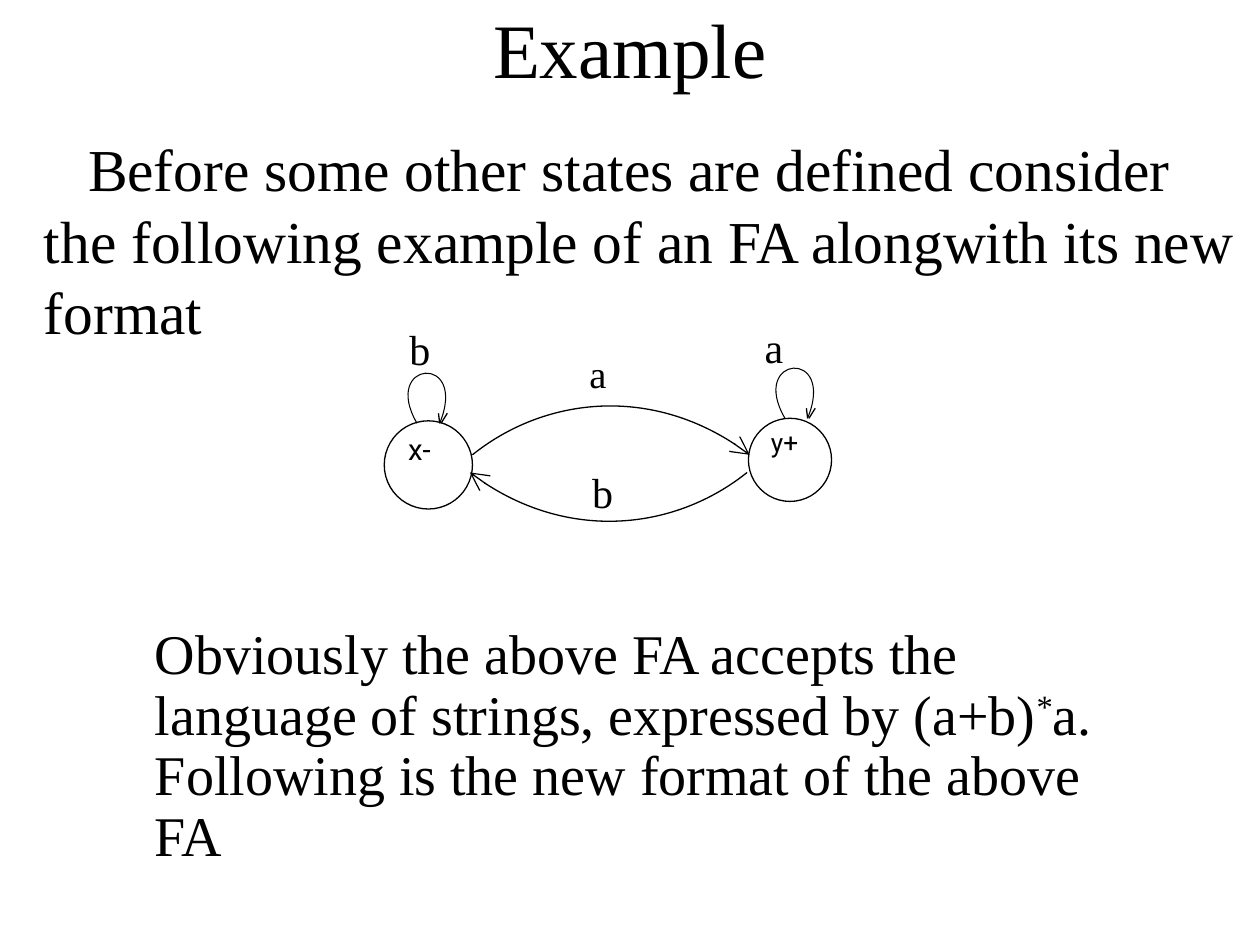
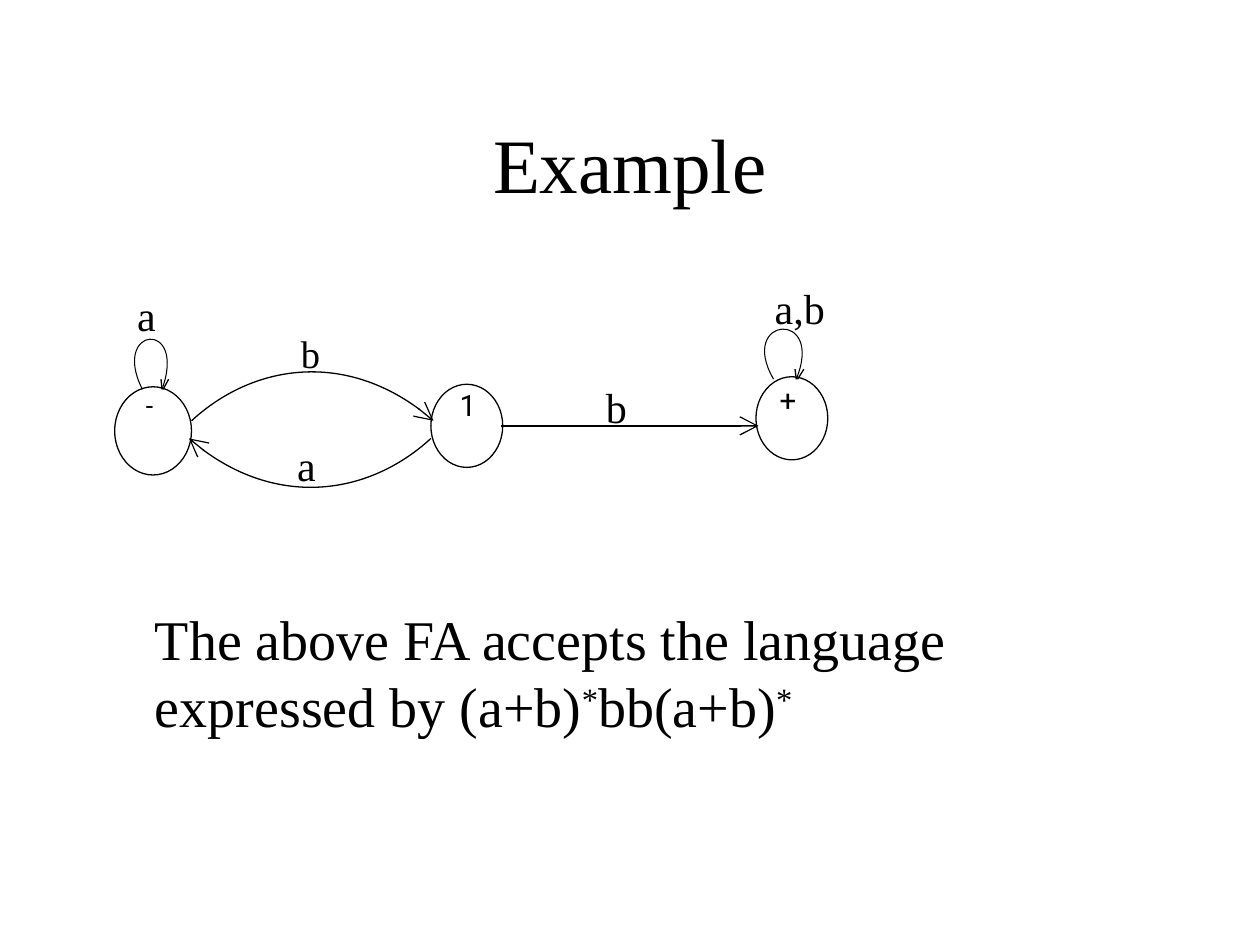
from pptx import Presentation
from pptx.dml.color import RGBColor
from pptx.enum.shapes import MSO_CONNECTOR as CONN, MSO_SHAPE as SHAPE
from pptx.enum.text import MSO_ANCHOR as ANCHOR, PP_ALIGN as ALIGN
from pptx.oxml.ns import qn
from pptx.util import Inches, Pt
from lxml.etree import SubElement

BLACK = RGBColor(0, 0, 0)
WHITE = RGBColor(255, 255, 255)
SERIF, SANS = "Times New Roman", "Roboto"
SLIDE_W, SLIDE_H = 10, 7.5
MARGIN = 0.075 * SLIDE_W
CONTENT_W = SLIDE_W - 2 * MARGIN
ARROW = dict(type="arrow", w="lg", len="lg")


def add_text(sp, text, size=24, font=SERIF, align=ALIGN.LEFT, anchor=ANCHOR.TOP,
             spacing=None, indent=0):
    """Fill a shape with one paragraph; every asterisk becomes a superscript."""
    tf = sp.text_frame
    tf.word_wrap = True
    tf.vertical_anchor = anchor
    p = tf.paragraphs[0]
    p.alignment = align
    if spacing:
        p.line_spacing = spacing
    if indent:
        p._p.get_or_add_pPr().set("indent", str(Inches(indent)))
    for part in text.replace("*", "|*|").split("|"):
        if part:
            r = p.add_run()
            r.text = part
            r.font.size, r.font.name = Pt(size), font
            r.font.color.rgb = BLACK
            if part == "*":
                r.font._element.set("baseline", "30000")


def add_stroke(slide, points, width=0.75, arrow=False):
    """Draw an open outline; four points are the controls of a Bezier curve."""
    start, *rest = [(Inches(x), Inches(y)) for x, y in points]
    fb = slide.shapes.build_freeform(*start)
    fb.add_line_segments(rest, close=False)
    sp = fb.convert_to_shape()
    if len(points) == 4:
        outline = next(sp._element.iter(qn("a:path")))
        curve = SubElement(outline, qn("a:cubicBezTo"))
        for segment in outline.findall(qn("a:lnTo")):
            curve.append(segment[0])
            outline.remove(segment)
    sp.shadow.inherit = False
    sp.fill.background()
    sp.line.color.rgb, sp.line.width = BLACK, Pt(width)
    if arrow:
        SubElement(sp.line._get_or_add_ln(), qn("a:tailEnd"), **ARROW)


# states: left, top, width, height
# arcs: start x, start y, signed span
# loops: start x, start y, horizontal scale
# labels: text, left, top, size, font
SLIDES = [
    dict(
        title_top=-0.25,
        intro="Before some other states are defined consider the following "
              "example of an FA alongwith its new format",
        states=[(3.05, 3.34, 0.7, 0.7), (5.94, 3.32, 0.66, 0.66)],
        arcs=[(3.75, 3.61, 2.2), (5.93, 3.75, -2.2)],
        loops=[(3.31, 3.36, 1), (6.23, 3.32, 1)],
        lines=[],
        label_size={SERIF: (1.09, 0.52), SANS: (0.78, 0.39)},
        labels=[("x-", 3.14, 3.43, 16.8, SANS), ("y+", 6.02, 3.38, 15, SANS),
                ("b", 3.15, 2.52, 24, SERIF), ("a", 5.97, 2.5, 24, SERIF),
                ("a", 4.58, 2.73, 22, SERIF), ("b", 4.6, 3.65, 24, SERIF)],
        closing="Obviously the above FA accepts the language of strings, expressed "
                "by (a+b)*a. Following is the new format of the above FA",
        closing_top=2.5, closing_inset=2.47, closing_spacing=0.9),
    dict(
        title_top=0.67,
        intro=None,
        states=[(0.91, 3.07, 0.61, 0.7), (3.42, 3.05, 0.57, 0.66),
                (6, 2.99, 0.57, 0.66)],
        arcs=[(1.52, 3.34, 1.92), (3.42, 3.48, -1.92)],
        loops=[(1.13, 3.09, 0.87), (6.14, 3.01, 1)],
        lines=[(3.98, 6.02, 3.38)],
        label_size={SERIF: (0.95, 0.52), SANS: (0.36, 0.4)},
        labels=[("-", 1.06, 3.09, 15.2, SANS), ("1", 3.55, 3.08, 16.8, SANS),
                ("+", 6.09, 3.04, 16.8, SANS), ("a", 0.99, 2.25, 24, SERIF),
                ("b", 2.29, 2.57, 22, SERIF), ("a", 2.26, 3.44, 24, SERIF),
                ("b", 4.71, 2.98, 24, SERIF), ("a,b", 6.05, 2.19, 24, SERIF)],
        closing="The above FA accepts the language expressed by (a+b)*bb(a+b)*",
        closing_top=2.17, closing_inset=2.63, closing_spacing=None),
]

prs = Presentation()
prs.slide_width, prs.slide_height = Inches(SLIDE_W), Inches(SLIDE_H)

for content in SLIDES:
    s = prs.slides.add_slide(prs.slide_layouts[5])
    s.background.fill.solid()
    s.background.fill.fore_color.rgb = WHITE

    title = s.shapes.title
    title.left, title.top = Inches(MARGIN), Inches(content["title_top"])
    title.width, title.height = Inches(CONTENT_W), Inches(1.25)
    add_text(title, "Example", size=44, align=ALIGN.CENTER, anchor=ANCHOR.MIDDLE)

    # The closing text starts below the diagram, inside the content area
    closing = s.shapes.add_textbox(
        *map(Inches, (MARGIN, content["closing_top"], CONTENT_W, 0.6 * SLIDE_H)))
    closing.text_frame.margin_left = Inches(0.48)
    closing.text_frame.margin_top = Inches(content["closing_inset"])
    add_text(closing, content["closing"], size=32, spacing=content["closing_spacing"])

    if content["intro"]:
        intro = s.shapes.add_textbox(Inches(0.25), Inches(1), Inches(9.75), Inches(1.8))
        add_text(intro, content["intro"], size=34, indent=0.35)

    for box in content["states"]:
        state = s.shapes.add_shape(SHAPE.OVAL, *map(Inches, box))
        state.shadow.inherit = False
        state.fill.solid()
        state.fill.fore_color.rgb = WHITE
        state.line.color.rgb, state.line.width = BLACK, Pt(0.75)

    # Transitions to the right bend upwards, those to the left downwards
    for x, y, span in content["arcs"]:
        bend = -1 if span > 0 else 1
        add_stroke(s, [(x, y), (x + 0.255 * span, y + 0.45 * bend),
                       (x + 0.67 * span, y + 0.56 * bend), (x + span, y)], arrow=True)

    for x, y, scale in content["loops"]:
        loop = [(0, 0), (-0.29, -0.5), (0.41, -0.56), (0.18, 0)]
        right_barb = [(0.19, 0), (0.24, -0.08)]
        left_barb = [(0.17, -0.08), (0.18, 0)]
        for outline, width in ((loop, 0.6), (right_barb, 0.75), (left_barb, 0.75)):
            add_stroke(s, [(x + dx * scale, y + dy) for dx, dy in outline], width)

    for x1, x2, y in content["lines"]:
        line = s.shapes.add_connector(CONN.STRAIGHT, *map(Inches, (x1, y, x2, y)))
        line.line.color.rgb, line.line.width = BLACK, Pt(0.75)
        SubElement(line.line._get_or_add_ln(), qn("a:tailEnd"), **ARROW)
        SubElement(line._element.spPr, qn("a:effectLst"))

    for text, left, top, size, font in content["labels"]:
        label = s.shapes.add_textbox(
            *map(Inches, (left, top, *content["label_size"][font])))
        add_text(label, text, size, font, spacing=0.8 if font == SANS else None)

prs.save("out.pptx")
